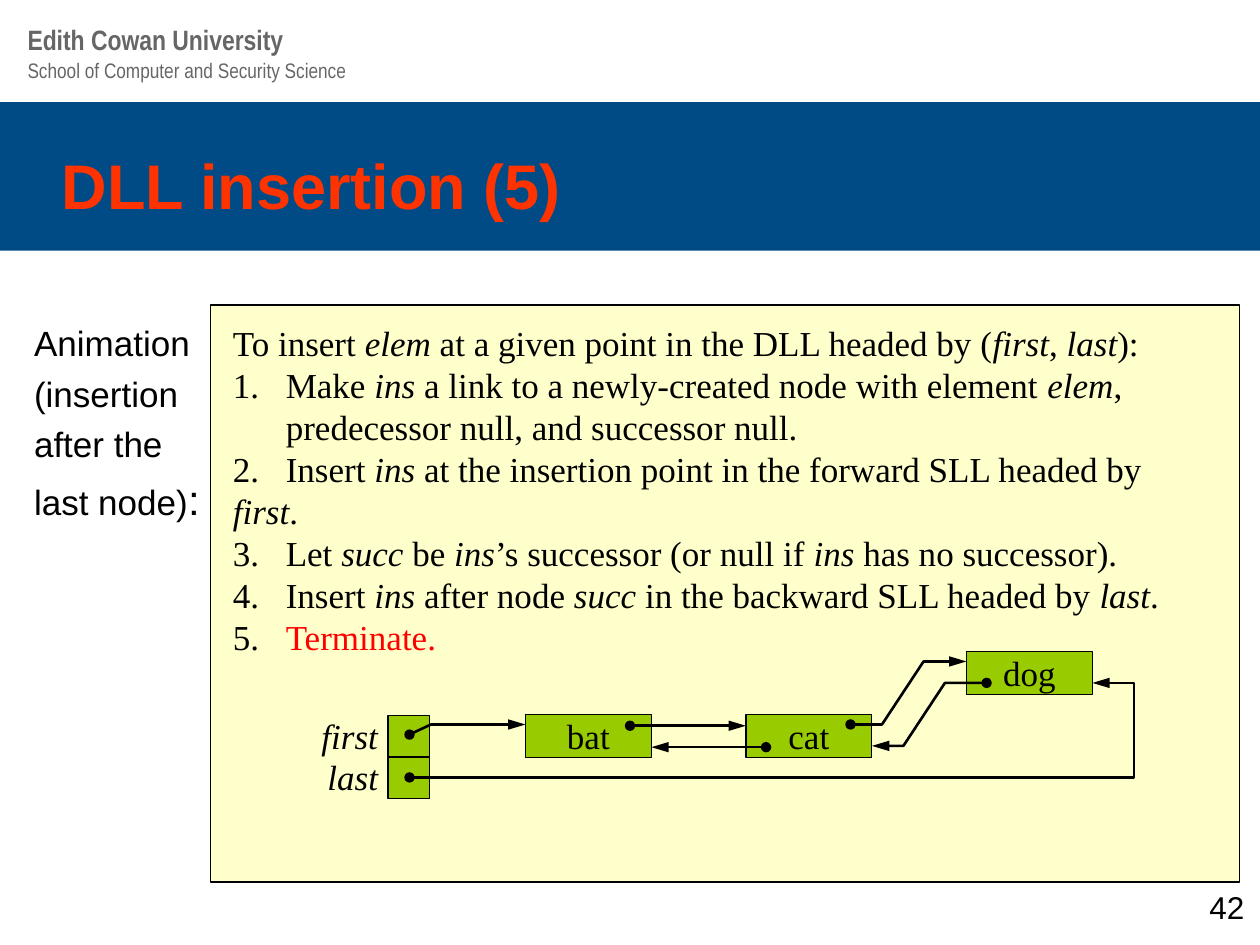
"""Build the slide on inserting after the last node of a doubly-linked list."""
from lxml.etree import SubElement
from pptx import Presentation
from pptx.dml.color import RGBColor
from pptx.enum.shapes import MSO_CONNECTOR, MSO_SHAPE
from pptx.enum.text import MSO_ANCHOR, MSO_AUTO_SIZE, PP_ALIGN
from pptx.oxml.ns import qn
from pptx.util import Inches, Pt

BLUE = RGBColor(0x00, 0x4B, 0x85)
GREY = RGBColor(0x66, 0x66, 0x66)
ORANGE = RGBColor(0xFF, 0x33, 0x00)
RED = RGBColor(0xFF, 0x00, 0x00)
BLACK = RGBColor(0x00, 0x00, 0x00)
CREAM = RGBColor(0xFF, 0xFF, 0xCC)
GREEN = RGBColor(0x99, 0xCC, 0x00)

TITLE = "DLL insertion (5)"
CAPTION = ["Animation", "(insertion", "after the", "last node)"]
ALGORITHM = [
    "To insert *elem* at a given point in the DLL headed by (*first*, *last*):",
    "1.\tMake *ins* a link to a newly-created node with element *elem*,",
    "\tpredecessor null, and successor null.",
    "2.\tInsert *ins* at the insertion point in the forward SLL headed by *first*.",
    "3.\tLet *succ* be *ins*’s successor (or null if *ins* has no successor).",
    "4.\tInsert *ins* after node *succ* in the backward SLL headed by *last*.",
    "5.\t",
]
FINAL_STEP = "Terminate."
HEADERS = [
    ("School of Computer and Security Science", 0.41, 0.3, 12, False),
    ("Edith Cowan University", 0.13, 0.37, 16, True),
]
NODES = [("dog", 7.67, 5.17), ("bat", 4.17, 5.67), ("cat", 5.92, 5.67)]
POINTERS = ["first", "last"]
ROUTES = [
    [(5, 5.76), (5.92, 5.76)],
    [(6.08, 5.93), (5.17, 5.93)],
    [(3.25, 5.83), (3.42, 5.75), (4.17, 5.75)],
    [(6.75, 5.75), (7, 5.75), (7.33, 5.25), (7.67, 5.25)],
    [(3.25, 6.17), (9, 6.17), (9, 5.42), (8.67, 5.42)],
    [(7.83, 5.42), (7.5, 5.42), (7.17, 5.92), (6.92, 5.92)],
]
NULL_LINKS = [(8.5, 5.26), (4.33, 5.92)]

HEADING_FONT = dict(name="Arial", size=Pt(36), bold=True)
CAPTION_FONT = dict(name="Arial", size=Pt(20))
SERIF_FONT = dict(name="Times New Roman", size=Pt(20))


def place(shape, left, top, width, height):
    values = dict(left=left, top=top, width=width, height=height)
    for name, value in values.items():
        setattr(shape, name, Inches(value))


def add_span(para, text, color=BLACK, **font):
    span = para.add_run()
    span.text = text
    span.font.color.rgb = color
    for name, value in font.items():
        setattr(span.font, name, value)


def set_margins(frame, size):
    for side in ("left", "right", "top", "bottom"):
        setattr(frame, f"margin_{side}", Inches(size))


def add_text_box(page, *area):
    box = page.shapes.add_textbox(*map(Inches, area))
    box.text_frame.word_wrap = True
    return box


def add_rectangle(page, area, fill, outlined=True):
    box = page.shapes.add_shape(MSO_SHAPE.RECTANGLE, *map(Inches, area))
    box.shadow.inherit = False
    box.fill.solid()
    box.fill.fore_color.rgb = fill
    if outlined:
        box.line.color.rgb = BLACK
        box.line.width = Pt(0.75)
    else:
        box.line.fill.background()
    return box


def add_route(page, points, arrow=True):
    corners = [(Inches(x), Inches(y)) for x, y in points]
    if len(corners) == 2:
        route = page.shapes.add_connector(MSO_CONNECTOR.STRAIGHT, *corners[0], *corners[1])
    else:
        builder = page.shapes.build_freeform(*corners[0], scale=1.0)
        builder.add_line_segments(corners[1:], close=False)
        route = builder.convert_to_shape()
        route.fill.background()
    route.line.color.rgb = BLACK
    route.line.width = Pt(1.5)
    line = route.line._get_or_add_ln()
    SubElement(line, qn("a:headEnd"), type="oval")
    if arrow:
        SubElement(line, qn("a:tailEnd"), type="triangle", w="med", len="lg")
    SubElement(route._element.spPr, qn("a:effectLst"))


def fill_placeholders(page):
    title, body = page.placeholders
    for shape, area, anchor in (
        (title, (0.39, 1.09, 8.5, 0.75), MSO_ANCHOR.MIDDLE),
        (body, (0.17, 2.5, 1.58, 3.67), MSO_ANCHOR.TOP),
    ):
        place(shape, *area)
        shape.text_frame.auto_size = MSO_AUTO_SIZE.NONE
        shape.text_frame.vertical_anchor = anchor
    para = title.text_frame.paragraphs[0]
    para.alignment = PP_ALIGN.LEFT
    add_span(para, TITLE, ORANGE, **HEADING_FONT)
    for index, text in enumerate(CAPTION):
        para = body.text_frame.add_paragraph() if index else body.text_frame.paragraphs[0]
        properties = para._p.get_or_add_pPr()
        properties.set("marL", str(Inches(0.38)))
        properties.set("indent", str(-Inches(0.38)))
        SubElement(properties, qn("a:buNone"))
        para.space_before = Pt(5 if index else 0)
        add_span(para, text, **CAPTION_FONT)
    add_span(para, ":", name="Arial", size=Pt(24))


def add_algorithm(page):
    box = add_text_box(page, 1.75, 2.5, 8, 2.43)
    para = box.text_frame.paragraphs[0]
    tabs = SubElement(para._p.get_or_add_pPr(), qn("a:tabLst"))
    for stop in (0.42, 1.04):
        SubElement(tabs, qn("a:tab"), pos=str(Inches(stop)), algn="l")
    for number, text in enumerate(ALGORITHM):
        if number:
            para.add_line_break()
        for index, part in enumerate(text.split("*")):
            if part:
                add_span(para, part, italic=index % 2 == 1, **SERIF_FONT)
    add_span(para, FINAL_STEP, RED, **SERIF_FONT)
    for line_break in para._p.findall(qn("a:br")):
        SubElement(line_break, qn("a:rPr"), sz="2000")


def add_diagram(page):
    for index, text in enumerate(POINTERS):
        add_rectangle(page, (3.08, 5.68 + 0.33 * index, 0.33, 0.33), GREEN)
        label = add_text_box(page, 2.42, 5.67 + 0.33 * index, 0.58, 0.33)
        set_margins(label.text_frame, 0)
        para = label.text_frame.paragraphs[0]
        para.alignment = PP_ALIGN.RIGHT
        add_span(para, text, italic=True, **SERIF_FONT)
    for text, left, top in NODES:
        node = add_rectangle(page, (left, top, 1, 0.34), GREEN)
        set_margins(node.text_frame, 0)
        para = node.text_frame.paragraphs[0]
        para.alignment = PP_ALIGN.CENTER
        add_span(para, text, **SERIF_FONT)
    for points in ROUTES:
        add_route(page, points)
    for point in NULL_LINKS:
        add_route(page, [point, point], arrow=False)


def main():
    deck = Presentation()
    deck.slide_width, deck.slide_height = Inches(10), Inches(7.5)
    page = deck.slides.add_slide(deck.slide_layouts[1])
    fill_placeholders(page)
    band = add_rectangle(page, (0, 0.81, 10, 1.18), BLUE, outlined=False)
    page.shapes._spTree.insert(2, band._element)
    for text, top, height, size, bold in HEADERS:
        box = add_text_box(page, 0.12, top, 5.89, height)
        add_span(box.text_frame.paragraphs[0], text, GREY,
                 name="Arial Narrow", size=Pt(size), bold=bold)
    number = add_text_box(page, 9.5, 7, 0.5, 0.33)
    add_span(number.text_frame.paragraphs[0], "42", name="Arial", size=Pt(18))
    add_rectangle(page, (1.67, 2.42, 8.17, 4.58), CREAM)
    add_algorithm(page)
    add_diagram(page)
    deck.save("out.pptx")


if __name__ == "__main__":
    main()
